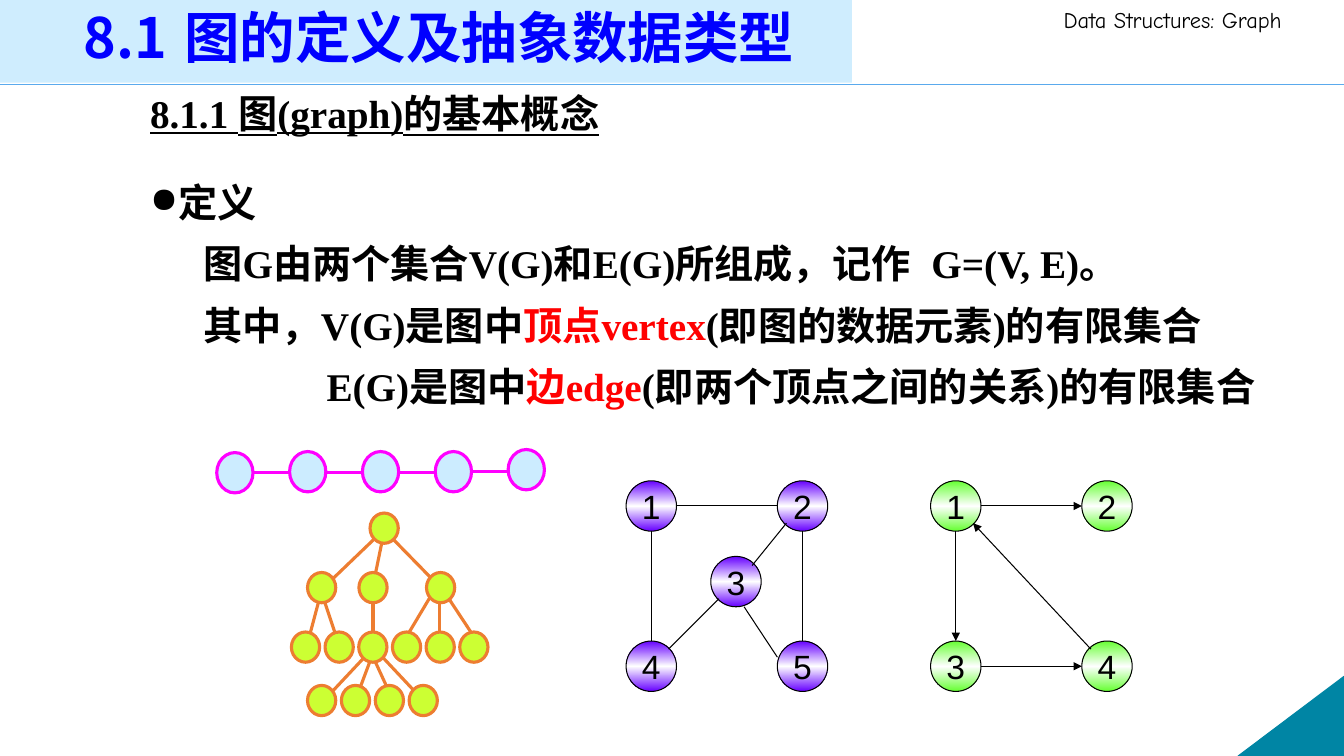
from copy import deepcopy

from lxml import etree
from pptx import Presentation
from pptx import util as u
from pptx.dml.color import RGBColor
from pptx.enum import shapes, text
from pptx.oxml.ns import qn

THEME = {
    "black": "000000", "white": "FFFFFF", "title": "0000FF", "term": "FF0000",
    "band": "CFEDFE", "rule": "5AAAED", "corner": "0085A4",
    "directed": "66FF33", "undirected": "6600FF",
    "chain": "CCECFF", "chain_line": "FF00FF",
    "tree": "CCFF33", "tree_line": "ED7D31",
    "cjk": "Noto Sans CJK SC", "serif": "Times New Roman",
    "sans": "Arial", "header": "Comic Neue",
    "title_size": 39.6, "body_size": 28, "label_size": 24, "header_size": 16,
    "thin": 0.75, "thick": 2.25,
}


def color(name):
    return RGBColor.from_string(THEME[name])


def add_edge(parent, ends, line, width, arrow=False):
    edge = parent.add_connector(shapes.MSO_CONNECTOR.STRAIGHT, *map(u.Inches, ends))
    edge.line.color.rgb = color(line)
    edge.line.width = u.Pt(width)
    if arrow:
        etree.SubElement(edge.line._get_or_add_ln(), qn("a:tailEnd"), type="triangle")
    etree.SubElement(edge._element.spPr, qn("a:effectLst"))


def add_solid(parent, kind, place, fill, line=None, width=0):
    solid = parent.add_shape(kind, *map(u.Inches, place))
    solid.shadow.inherit = False
    solid.fill.solid()
    solid.fill.fore_color.rgb = color(fill)
    if line:
        solid.line.color.rgb = color(line)
        solid.line.width = u.Pt(width)
    else:
        solid.line.fill.background()
    return solid


deck = Presentation()
deck.slide_width, deck.slide_height = u.Inches(13.33), u.Inches(7.5)
slide = deck.slides.add_slide(deck.slide_layouts[6])
canvas = slide.shapes
OVAL = shapes.MSO_SHAPE.OVAL

# Title band, rule and corner
add_edge(canvas, (0, 0.84, 13.33, 0.84), "rule", 1)
corner = add_solid(canvas, shapes.MSO_SHAPE.RIGHT_TRIANGLE, (12.28, 6.71, 1.05, 0.79),
                   "corner", "corner", THEME["thin"])
corner._element.spPr.find(qn("a:xfrm")).set("flipH", "1")
add_solid(canvas, shapes.MSO_SHAPE.RECTANGLE, (-0.03, -0.07, 8.48, 0.89), "band")

# Text: each paragraph has runs, paragraph format, left margin, indent, tab, bullet
header_font = {"size": u.Pt(THEME["header_size"]), "name": THEME["header"]}
title_font = {"size": u.Pt(THEME["title_size"]), "name": THEME["cjk"], "bold": True}
body_font = {"size": u.Pt(THEME["body_size"]), "name": THEME["serif"], "bold": True}
heading_font = {**body_font, "underline": True}
gap = {"space_before": u.Pt(10)}
TOP, MIDDLE = text.MSO_ANCHOR.TOP, text.MSO_ANCHOR.MIDDLE

text_boxes = [
    ((10.45, 0.01, 2.89, 0.37), TOP, [
        (header_font, [("Data\tStructures: Graph", "black")], {}, 0, 0, 0.57, None)]),
    ((0.73, 0.06, 8.98, 0.68), MIDDLE, [
        (title_font, [("8.1\t图的定义及抽象数据类型", "title")],
         {"line_spacing": 0.9}, 0, 0, 1.21, None)]),
    ((1.39, 0.84, 11.51, 5.58), TOP, [
        (heading_font, [("8.1.1 图(graph)的基本概念", "black")], {}, 0.25, -0.25, None, None),
        (body_font, [("定义", "black")], {"space_before": u.Pt(30)}, 0.25, -0.25, None, "●"),
        (body_font, [("图G由两个集合V(G)和E(G)所组成，记作\tG=(V, E)。", "black")],
         gap, 0.25, 0.28, 8.46, None),
        (body_font, [("其中，V(G)是图中", "black"), ("顶点vertex", "term"),
                     ("(即图的数据元素)的有限集合", "black")], gap, 0.25, 0.28, None, None),
        (body_font, [("E(G)是图中", "black"), ("边edge", "term"),
                     ("(即两个顶点之间的关系)的有限集合", "black")],
         gap, 0.25, 1.5, None, None)]),
]
for place, anchor, paragraphs in text_boxes:
    frame = canvas.add_textbox(*map(u.Inches, place)).text_frame
    frame.word_wrap = True
    frame.vertical_anchor = anchor
    for index, (font, runs, layout, margin, indent, tab, bullet) in enumerate(paragraphs):
        paragraph = frame.add_paragraph() if index else frame.paragraphs[0]
        props = paragraph._p.get_or_add_pPr()
        props.set("marL", str(u.Inches(margin)))
        props.set("indent", str(u.Inches(indent)))
        if bullet:
            etree.SubElement(props, qn("a:buSzPct"), val="90000")
            etree.SubElement(props, qn("a:buChar"), char=bullet)
        if tab:
            tabs = etree.SubElement(props, qn("a:tabLst"))
            etree.SubElement(tabs, qn("a:tab"), pos=str(u.Inches(tab)), algn="l")
        for key, value in layout.items():
            setattr(paragraph, key, value)
        for words, ink in runs:
            run = paragraph.add_run()
            run.text = words
            run.font.color.rgb = color(ink)
            for key, value in font.items():
                setattr(run.font, key, value)
            etree.SubElement(run._r.get_or_add_rPr(), qn("a:ea"), typeface=THEME["cjk"])

# Directed and undirected graphs with numbered vertices
LEFT_D, LEFT_U, UPPER, LOWER, SPAN = 9.23, 6.21, 4.77, 6.36, 1.5
graphs = [
    ("directed",
     {"1": (LEFT_D, UPPER), "2": (LEFT_D + SPAN, UPPER),
      "3": (LEFT_D, LOWER), "4": (LEFT_D + SPAN, LOWER)},
     [(9.73, 5.02, 10.73, 5.02), (9.48, 5.27, 9.48, 6.36),
      (9.73, 6.61, 10.73, 6.61), (10.82, 6.44, 9.65, 5.19)]),
    ("undirected",
     {"1": (LEFT_U, UPPER), "2": (LEFT_U + SPAN, UPPER), "3": (7.05, 5.52),
      "4": (LEFT_U, LOWER), "5": (LEFT_U + SPAN, LOWER)},
     [(6.71, 5.02, 7.71, 5.02), (6.46, 5.27, 6.46, 6.36), (7.96, 5.27, 7.96, 6.36),
      (7.38, 6.02, 7.71, 6.52), (7.13, 5.94, 6.63, 6.44), (7.8, 5.19, 7.46, 5.61)]),
]
label_font = {"size": u.Pt(THEME["label_size"]), "name": THEME["sans"]}
label_frame = {"word_wrap": False, "vertical_anchor": MIDDLE, "margin_left": 0,
               "margin_right": 0, "margin_top": 0, "margin_bottom": 0}
for tint, vertices, edges in graphs:
    graph = canvas.add_group_shape().shapes
    for label, (left, top) in vertices.items():
        vertex = add_solid(graph, OVAL, (left, top, 0.5, 0.5), tint, "black", THEME["thin"])
        vertex.fill.gradient()
        vertex.fill.gradient_angle = 90
        stops = vertex._element.spPr.find(qn("a:gradFill")).find(qn("a:gsLst"))
        stops.append(deepcopy(stops[0]))
        for stop, position, shade in zip(vertex.fill.gradient_stops, (0, 0.5, 1),
                                         (tint, "white", tint)):
            stop.position = position
            stop.color.rgb = color(shade)
        for key, value in label_frame.items():
            setattr(vertex.text_frame, key, value)
        paragraph = vertex.text_frame.paragraphs[0]
        paragraph.alignment = text.PP_ALIGN.CENTER
        run = paragraph.add_run()
        run.text = label
        run.font.color.rgb = color("black")
        for key, value in label_font.items():
            setattr(run.font, key, value)
    for ends in edges:
        add_edge(graph, ends, "black", THEME["thin"], arrow=tint == "directed")

# Linear chain
chain = canvas.add_group_shape().shapes
STEP = 0.7225
for index, top in enumerate((4.49, 4.48, 4.48, 4.48, 4.46)):
    left = 2.15 + index * STEP
    add_solid(chain, OVAL, (left, top, 0.36, 0.4), "chain", "chain_line", THEME["thick"])
    if index < 4:
        level = 4.68 if index == 3 else 4.69
        add_edge(chain, (left + 0.36, level, left + STEP, level), "chain_line", THEME["thick"])

# Tree: branches first, then the rows of nodes
tree = canvas.add_group_shape().shapes
branches = [
    (3.72, 5.34, 3.24, 5.8), (3.79, 5.37, 3.72, 5.71), (3.89, 5.34, 4.34, 5.8),
    (3.16, 5.97, 3.08, 6.27), (3.22, 5.97, 3.32, 6.27), (3.7, 5.97, 3.7, 6.27),
    (4.34, 5.8, 4.06, 6.27), (4.36, 5.97, 4.36, 6.27), (4.36, 5.8, 4.67, 6.27),
    (3.69, 6.44, 3.24, 6.92), (3.67, 6.56, 3.58, 6.8),
    (3.72, 6.56, 3.83, 6.8), (3.72, 6.44, 4.17, 6.92),
]
for ends in branches:
    add_edge(tree, ends, "tree_line", THEME["thick"])
levels = {
    5.09: [3.67],
    5.68: [3.05, 3.56, 4.23],
    6.27: [2.89 + 0.334 * place for place in range(6)],
    6.8: [3.05 + 0.336 * place for place in range(4)],
}
for top, lefts in levels.items():
    for left in lefts:
        add_solid(tree, OVAL, (left, top, 0.28, 0.3), "tree", "tree_line", THEME["thick"])

deck.save("out.pptx")
